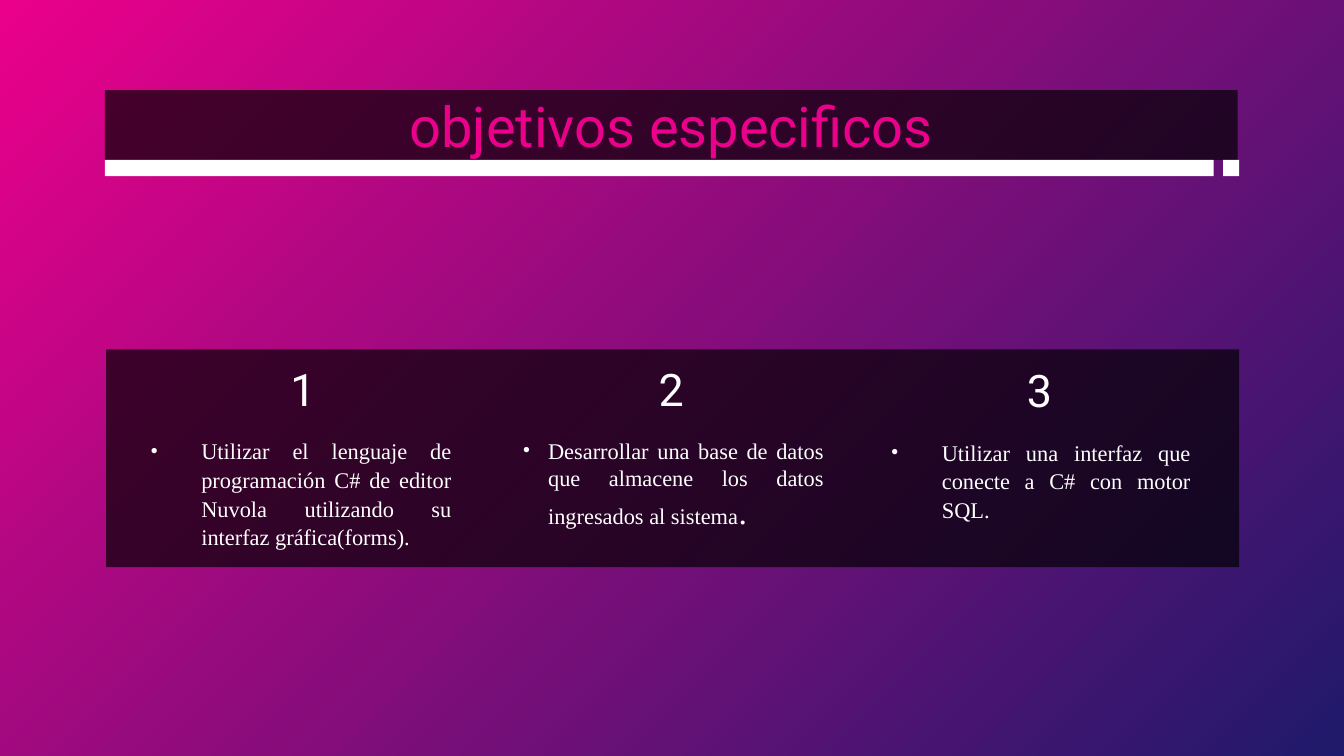
import pptx
import pptx.dml.color
import pptx.enum.shapes
import pptx.enum.text
import pptx.oxml.ns
import pptx.util
from lxml import etree

Inches = pptx.util.Inches
Pt = pptx.util.Pt
RGB = pptx.dml.color.RGBColor
qn = pptx.oxml.ns.qn
ALIGN = pptx.enum.text.PP_ALIGN
ANCHOR = pptx.enum.text.MSO_ANCHOR

PINK = RGB(0xEB, 0x00, 0x8B)
NAVY = RGB(0x1F, 0x1A, 0x6B)
BLACK = RGB(0, 0, 0)
WHITE = RGB(255, 255, 255)
SERIF = "Times New Roman"

deck = pptx.Presentation()
deck.slide_width = Inches(10)
deck.slide_height = Inches(10 * 9 / 16)
slide = deck.slides.add_slide(deck.slide_layouts[6])

back = slide.background.fill
back.gradient()
back.gradient_angle = 315
for stop, color in zip(back.gradient_stops, (PINK, NAVY)):
    stop.color.rgb = color
    stop.position = 0 if color == PINK else 1


def add_bar(left, top, width, height, color, alpha=100):
    """Add a plain rectangle; alpha is its opacity in percent."""
    bar = slide.shapes.add_shape(
        pptx.enum.shapes.MSO_SHAPE.RECTANGLE,
        Inches(left), Inches(top), Inches(width), Inches(height))
    bar.shadow.inherit = False
    bar.line.fill.background()
    bar.fill.solid()
    bar.fill.fore_color.rgb = color
    if alpha < 100:
        tint = bar.fill._xPr.find(".//" + qn("a:srgbClr"))
        etree.SubElement(tint, qn("a:alpha"), val=str(alpha * 1000))
    return bar


def set_text(shape, runs, font, color, anchor, form):
    """Fill a shape with one paragraph; runs holds (text, size) pairs."""
    frame = shape.text_frame
    look = {"word_wrap": True, "vertical_anchor": anchor}
    look.update({f"margin_{side}": Inches(0.1)
                 for side in ("left", "top", "right", "bottom")})
    for name, value in look.items():
        setattr(frame, name, value)
    para = frame.paragraphs[0]
    for name, value in form.items():
        setattr(para, name, value)
    for text, size in runs:
        run = para.add_run()
        run.text = text
        run.font.name, run.font.size = font, Pt(size)
        run.font.color.rgb = color
    return para


add_bar(0.79, 2.6, 8.43, 1.62, BLACK, 68)
title = add_bar(0.78, 0.67, 8.43, 0.52, BLACK, 68)
center = {"alignment": ALIGN.CENTER}
set_text(title, [("objetivos especificos", 30)], "Roboto", PINK,
         ANCHOR.MIDDLE, center)

loose = {"alignment": ALIGN.JUSTIFY, "line_spacing": 1.07,
         "space_after": Pt(8)}
tight = {"alignment": ALIGN.JUSTIFY}
# Each goal: number box (left, top), text box, indent, format, runs
goals = [
    ((1.04, 2.63), (1.02, 3.14, 2.44, 0.99), 0.38, loose,
     [("Utilizar el lenguaje de programación C# de editor Nuvola "
       "utilizando su interfaz gráfica(forms).", 12)]),
    ((3.78, 2.63), (3.79, 3.15, 2.44, 0.98), 0.19, tight,
     [("Desarrollar una base de datos que almacene los datos "
       "ingresados al sistema", 12), (".", 18)]),
    ((6.52, 2.64), (6.53, 3.15, 2.43, 0.85), 0.38, loose,
     [("Utilizar una interfaz que conecte a C# con motor SQL.", 12)]),
]
for count, (spot, area, indent, form, runs) in enumerate(goals, 1):
    head = slide.shapes.add_textbox(*map(Inches, (*spot, 2.43, 0.52)))
    set_text(head, [(str(count), 24)], "Roboto", WHITE,
             ANCHOR.MIDDLE, center)

    body = slide.shapes.add_textbox(*map(Inches, area))
    para = set_text(body, runs, SERIF, WHITE, ANCHOR.TOP, form)
    props = para._p.get_or_add_pPr()
    props.set("marL", str(Inches(indent)))
    props.set("indent", str(-Inches(indent)))
    tint = etree.SubElement(props, qn("a:buClr"))
    etree.SubElement(tint, qn("a:srgbClr"), val=str(WHITE))
    etree.SubElement(props, qn("a:buFont"), typeface=SERIF)
    etree.SubElement(props, qn("a:buChar"), char="•")

for left, width in ((0.78, 8.25), (9.1, 0.12)):
    add_bar(left, 1.19, width, 0.12, WHITE)

deck.save("out.pptx")
